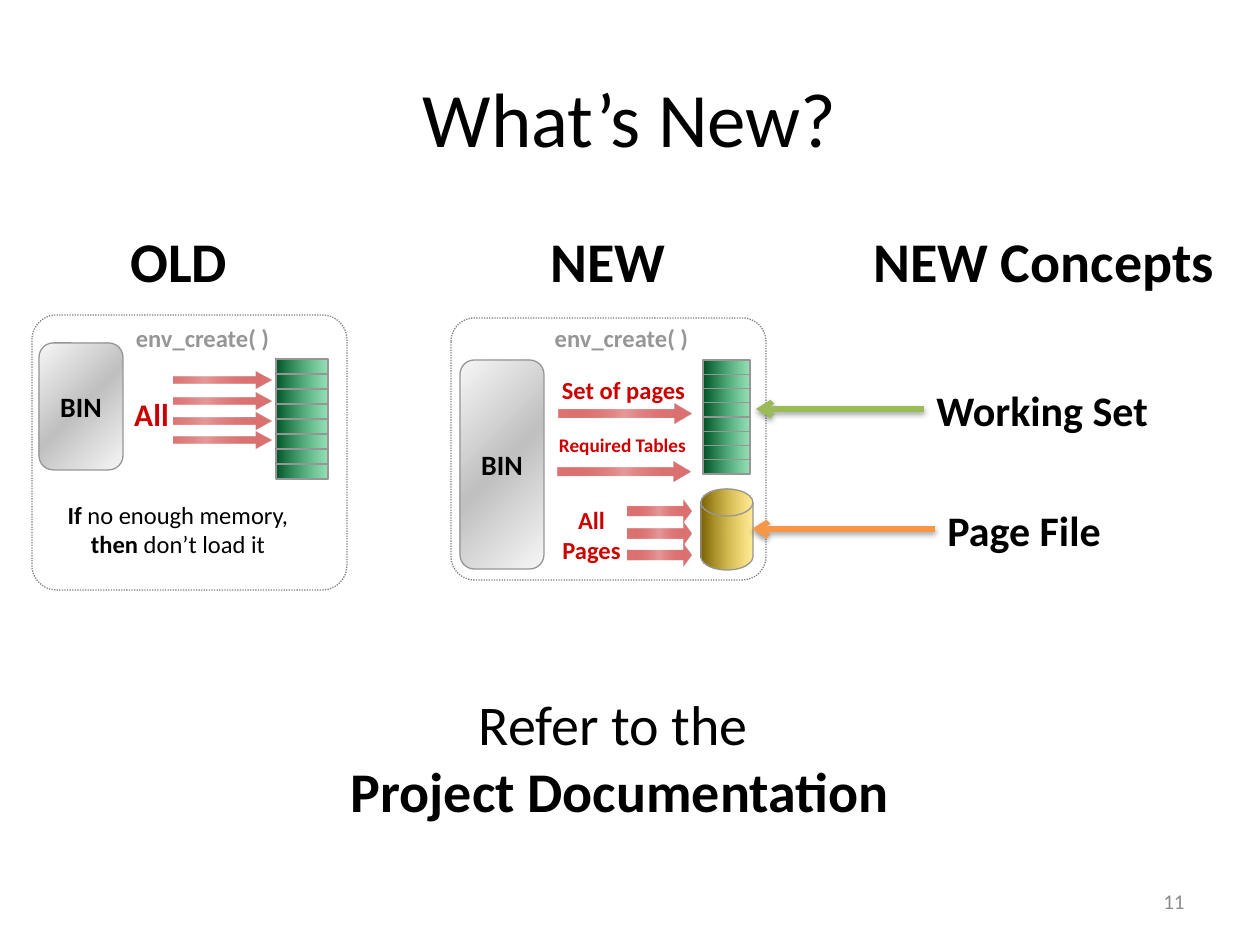
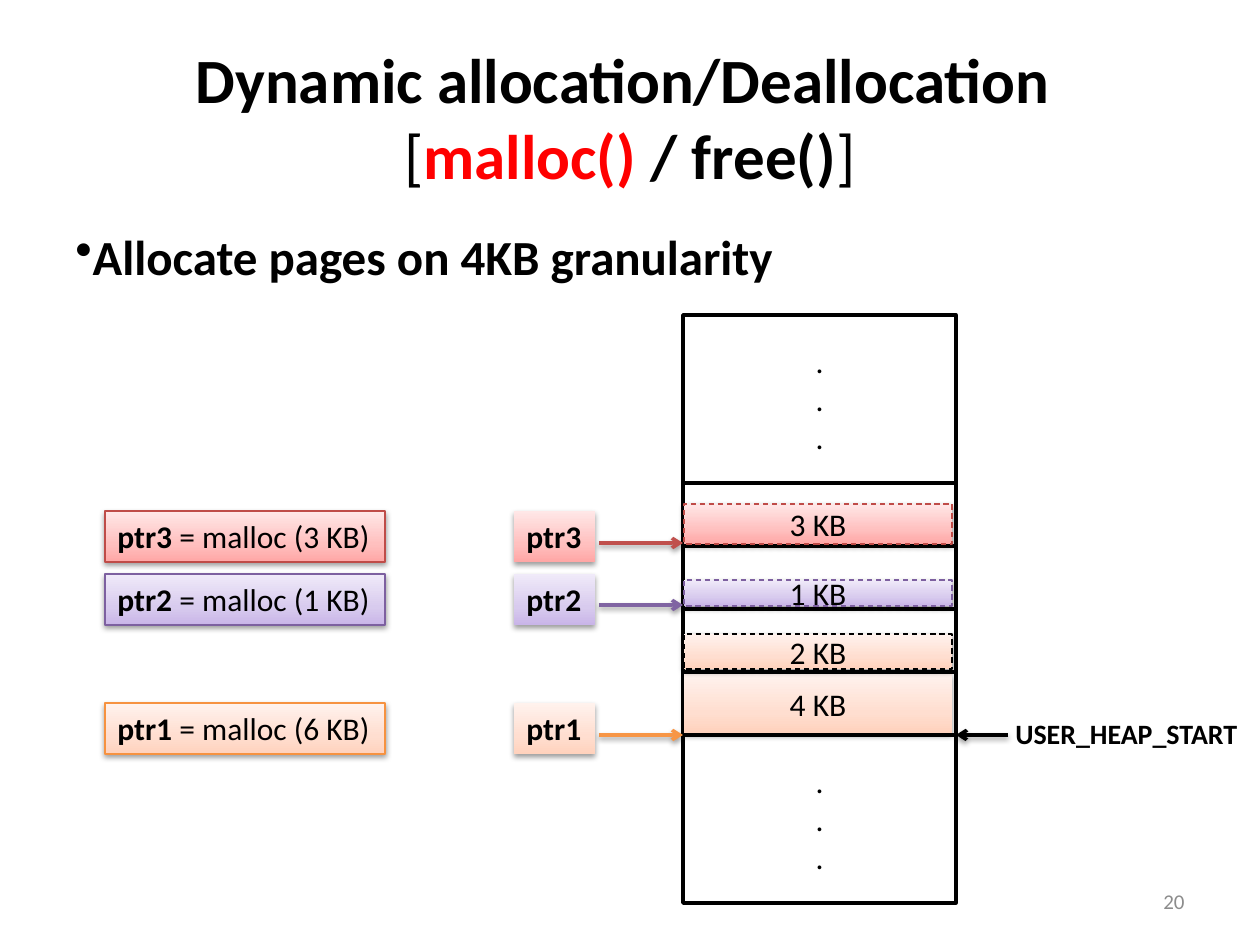
from pptx import Presentation
from pptx.dml.color import RGBColor
from pptx.enum.dml import MSO_LINE_DASH_STYLE as DASH
from pptx.enum.shapes import MSO_CONNECTOR, MSO_SHAPE as SHAPE
from pptx.enum.text import MSO_ANCHOR as ANCHOR, MSO_AUTO_SIZE as AUTO, PP_ALIGN as ALIGN
from pptx.oxml import parse_xml
from pptx.oxml.ns import nsdecls
from pptx.util import Emu, Pt

PX = 914400 / 126
FONT = "Calibri"
BLACK = RGBColor(0x00, 0x00, 0x00)
WHITE = RGBColor(0xFF, 0xFF, 0xFF)
GRAY = RGBColor(0x96, 0x96, 0x96)
FRAME_GRAY = RGBColor(0x80, 0x80, 0x80)
NUMBER_GRAY = RGBColor(0x8C, 0x8C, 0x8C)
DARK_RED = RGBColor(0xCC, 0x00, 0x00)
RED = RGBColor(0xFF, 0x00, 0x00)
GREEN = RGBColor(0x9B, 0xBB, 0x59)
ORANGE = RGBColor(0xF7, 0x96, 0x46)
ORANGE_EDGE = RGBColor(0xF6, 0x92, 0x40)
PURPLE = RGBColor(0x80, 0x64, 0xA2)
PURPLE_EDGE = RGBColor(0x7D, 0x60, 0xA0)
BRICK = RGBColor(0xC0, 0x50, 0x4D)
BRICK_EDGE = RGBColor(0xBF, 0x4C, 0x48)

# Gradients: angle in degrees, then stops of position, colour and opacity
SILVER = (45, [(0, "F6F6F6", 100), (50, "C0C0C0", 100), (100, "F6F6F6", 100)])
RED_FADE = (0, [(0, "DD7676", 100), (50, "C00000", 40), (100, "DD7676", 100)])
GREEN_FADE = (0, [(0, "005125", 100), (100, "00B050", 40)])
GOLD_FADE = (0, [(0, "765E00", 100), (100, "FFCC00", 40)])
PEACH = (270, [(0, "FFD2BD", 100), (35, "FFDED0", 100), (100, "FFF2ED", 100)])
LILAC = (270, [(0, "C9B5E8", 100), (35, "D8CBEE", 100), (100, "F0EAF9", 100)])
ROSE = (270, [(0, "FFA6A5", 100), (35, "FFC0BF", 100), (100, "FFE7E7", 100)])

SHADOW = (f'<a:effectLst {nsdecls("a")}><a:outerShdw blurRad="40000" dist="20000" '
          'dir="5400000" rotWithShape="0"><a:srgbClr val="000000"><a:alpha val="38000"/>'
          '</a:srgbClr></a:outerShdw></a:effectLst>')


def add_box(s, at, text=None, size=18, bold=False, color=BLACK, align=ALIGN.CENTER,
            anchor=ANCHOR.MIDDLE, inset=True, wrap=True, kind=None, adj=(),
            fill=None, line=None, shadow=False):
    """Add a text box, or a shape if kind is given.

    text is a string or a list of paragraphs; a paragraph is a string or a
    list of runs (text, bold, color). line is (color, width, dash).
    """
    x, y, w, h = [Emu(round(v * PX)) for v in at]
    if kind is None:
        sp = s.shapes.add_textbox(x, y, w, h)
    else:
        sp = s.shapes.add_shape(kind, x, y, w, h)
        for i, value in enumerate(adj):
            sp.adjustments[i] = value
        sp.shadow.inherit = False
        spPr = sp._element.spPr
        sp.fill.background()
        if isinstance(fill, RGBColor):
            sp.fill.solid()
            sp.fill.fore_color.rgb = fill
        elif fill:
            angle, stops = fill
            gs = "".join(f'<a:gs pos="{pos * 1000}"><a:srgbClr val="{rgb}">'
                         f'<a:alpha val="{alpha * 1000}"/></a:srgbClr></a:gs>'
                         for pos, rgb, alpha in stops)
            spPr.replace(spPr.find("{*}noFill"), parse_xml(
                f'<a:gradFill {nsdecls("a")} rotWithShape="1"><a:gsLst>{gs}</a:gsLst>'
                f'<a:lin ang="{angle * 60000}" scaled="0"/></a:gradFill>'))
        if line:
            sp.line.color.rgb, sp.line.width, sp.line.dash_style = line[0], Pt(line[1]), line[2]
        else:
            sp.line.fill.background()
        if shadow:
            spPr.replace(spPr.find("{*}effectLst"), parse_xml(SHADOW))
    if text is None:
        return sp
    tf = sp.text_frame
    tf.word_wrap = wrap
    tf.auto_size = AUTO.NONE if wrap else AUTO.SHAPE_TO_FIT_TEXT
    tf.vertical_anchor = anchor
    if not inset:
        tf.margin_left = tf.margin_right = tf.margin_top = tf.margin_bottom = 0
    for i, runs in enumerate([text] if isinstance(text, str) else text):
        p = tf.add_paragraph() if i else tf.paragraphs[0]
        p.alignment = align
        for words, weight, rgb in [(runs, bold, color)] if isinstance(runs, str) else runs:
            r = p.add_run()
            r.text = words
            r.font.name, r.font.size, r.font.bold = FONT, Pt(size), weight
            r.font.color.rgb = rgb
    return sp


def add_arrow(s, x1, x2, y, color, width):
    cn = s.shapes.add_connector(MSO_CONNECTOR.STRAIGHT,
                                *[Emu(round(v * PX)) for v in (x1, y, x2, y)])
    cn.line.color.rgb = color
    cn.line.width = Pt(width)
    cn.line._ln.append(parse_xml(f'<a:tailEnd {nsdecls("a")} type="arrow"/>'))
    cn._element.spPr.append(parse_xml(SHADOW))


prs = Presentation()
prs.slide_width, prs.slide_height = Emu(round(1260 * PX)), Emu(round(945 * PX))

titles = [
    ("What’s New?", 44, 11),
    ([[("Dynamic allocation/Deallocation ", True, BLACK)],
      [("[", False, BLACK), ("malloc() ", True, RED), ("/ free()", True, BLACK),
       ("]", False, BLACK)]], 36, 20),
]
slides = []
for title, size, number in titles:
    s = prs.slides.add_slide(prs.slide_layouts[6])
    add_box(s, (63, 38, 1134, 157), title, size)
    add_box(s, (903, 876, 294, 50), str(number), 12, color=NUMBER_GRAY, align=ALIGN.RIGHT)
    slides.append(s)

# Slide 1: old and new loading, side by side
s = slides[0]
for heading, x, w in [("OLD", 118, 123), ("NEW", 538, 141), ("NEW Concepts", 861, 369)]:
    add_box(s, (x, 220, w, 81), heading, 32, True, align=ALIGN.LEFT,
            anchor=ANCHOR.TOP, wrap=False)

add_box(s, (701, 489, 52, 81), kind=SHAPE.FLOWCHART_MAGNETIC_DISK, fill=GOLD_FADE,
        line=(GRAY, 0.75, None))
for frame, binary in [((32, 315, 315, 275), (39, 343, 84, 127)),
                      ((451, 318, 315, 262), (460, 360, 84, 209))]:
    add_box(s, frame, kind=SHAPE.ROUNDED_RECTANGLE, adj=[0.09],
            line=(FRAME_GRAY, 0.75, DASH.ROUND_DOT))
    add_box(s, binary, "BIN", 16, True, inset=False, kind=SHAPE.ROUNDED_RECTANGLE,
            adj=[0.17], fill=SILVER, line=(GRAY, 0.75, None))

load_arrows = [(139, y, 132, 16, 1.0) for y in (372, 393, 413, 432)]
load_arrows += [(559, 404, 132, 19, 0.91), (558, 462, 132, 19, 0.91)]
load_arrows += [(627, y, 64, 23, 0.37) for y in (500, 522, 544)]
for x, y, w, h, head in load_arrows:
    add_box(s, (x, y, w, h), kind=SHAPE.RIGHT_ARROW, adj=[0.43, head], fill=RED_FADE)

PAGES = 8
for x, top, w, height in [(276, 359, 52, 120), (703, 360, 47, 114)]:
    page = height / PAGES
    for i in range(PAGES):
        add_box(s, (x, top + i * page, w, page), kind=SHAPE.RECTANGLE, fill=GREEN_FADE,
                line=(GRAY, 0.75, None))

for at, label, size in [((130, 368, 43, 91), "All", 18), ((556, 499, 71, 71), "All Pages", 14)]:
    add_box(s, at, label, size, True, DARK_RED, inset=False, kind=SHAPE.RECTANGLE, fill=WHITE)

if_text = [[("If", True, BLACK), (" no enough memory, ", False, BLACK),
            ("then", True, BLACK), (" don’t load it", False, BLACK)]]
for at, label, size, color in [
    ((125, 323, 155, 32), "env_create( )", 14, GRAY),
    ((544, 323, 155, 38), "env_create( )", 14, GRAY),
    ((49, 500, 258, 64), if_text, 14, BLACK),
    ((558, 375, 131, 30), "Set of pages", 14, DARK_RED),
    ((557, 433, 131, 30), "Required Tables", 11, DARK_RED),
]:
    add_box(s, at, label, size, True, color, anchor=ANCHOR.TOP, inset=False)

for concept, x, y, w, tip, color in [("Working Set", 924, 378, 239, 756, GREEN),
                                     ("Page File", 935, 498, 180, 752, ORANGE)]:
    add_box(s, (x, y, w, 63), concept, 24, True, align=ALIGN.LEFT,
            anchor=ANCHOR.TOP, wrap=False)
    add_arrow(s, x, tip, y + 31, color, 3)

add_box(s, (305, 683, 630, 149), [[("Refer to the ", False, BLACK)],
                                  [("Project Documentation", True, BLACK)]],
        32, anchor=ANCHOR.TOP)

# Slide 2: heap cells with the allocated blocks
s = slides[1]
body = add_box(s, (63, 220, 1134, 624), "Allocate pages on 4KB granularity", 28, True,
               align=ALIGN.LEFT, anchor=ANCHOR.TOP)
p = body.text_frame.paragraphs[0]
p.space_before = Pt(6)
p._p.get_or_add_pPr().append(parse_xml(f'<a:buChar {nsdecls("a")} char="•"/>'))

HEAP_X, HEAP_W = 683, 273
DOTS = [".", ".", "."]
y = 315
for h, content in [(168, DOTS)] + [(63, None)] * 4 + [(168, DOTS)]:
    add_box(s, (HEAP_X, y, HEAP_W, h), content, kind=SHAPE.RECTANGLE, fill=WHITE,
            line=(BLACK, 2, None))
    y += h

add_arrow(s, 1008, HEAP_X + HEAP_W, 735, BLACK, 2)
add_box(s, (1003, 710, 251, 47), "USER_HEAP_START", 16, True, align=ALIGN.LEFT,
        anchor=ANCHOR.TOP, wrap=False)

for label, y, h, fill, edge in [("4 KB", 674, 59, PEACH, None), ("2 KB", 634, 35, PEACH, BLACK),
                                ("1 KB", 580, 26, LILAC, PURPLE_EDGE),
                                ("3 KB", 504, 40, ROSE, BRICK_EDGE)]:
    add_box(s, (684, y, 268, h), label, kind=SHAPE.RECTANGLE, fill=fill, shadow=True,
            line=(edge, 0.75, DASH.DASH) if edge else None)

for name, kb, y, arrow_y, fill, edge, color in [
    ("ptr1", 6, 703, 735, PEACH, ORANGE_EDGE, ORANGE),
    ("ptr2", 1, 574, 605, LILAC, PURPLE_EDGE, PURPLE),
    ("ptr3", 3, 511, 543, ROSE, BRICK_EDGE, BRICK),
]:
    add_arrow(s, 599, HEAP_X, arrow_y, color, 2)
    call = [(name, True, BLACK), (f" = malloc ({kb} KB)", False, BLACK)]
    for x, w, text, line in [(105, 280, [call], (edge, 0.75, None)),
                             (514, 81, name, None)]:
        add_box(s, (x, y, w, 51), text, 18, True, align=ALIGN.LEFT, anchor=ANCHOR.TOP,
                wrap=False, kind=SHAPE.RECTANGLE, fill=fill, line=line, shadow=True)

prs.save("out.pptx")
